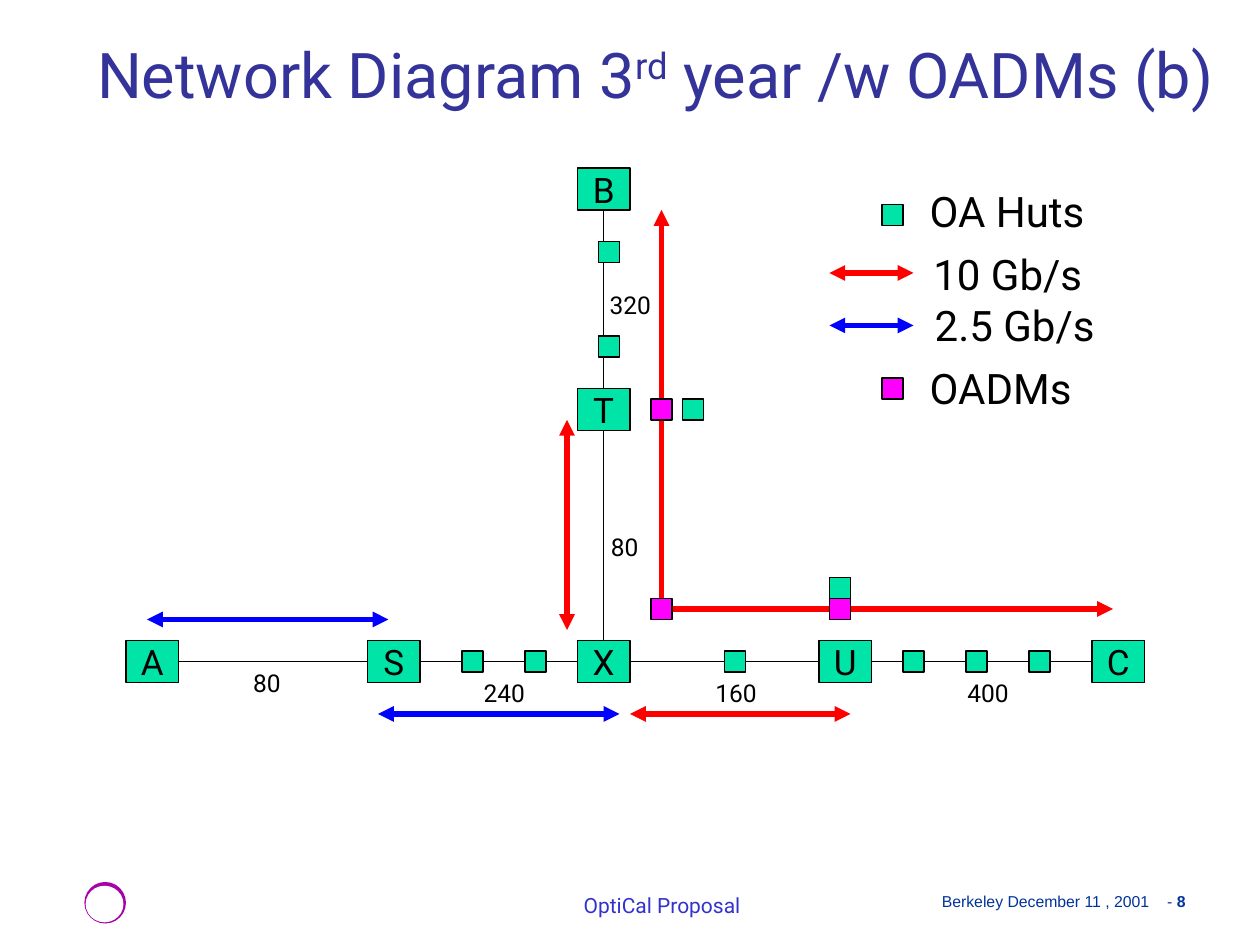
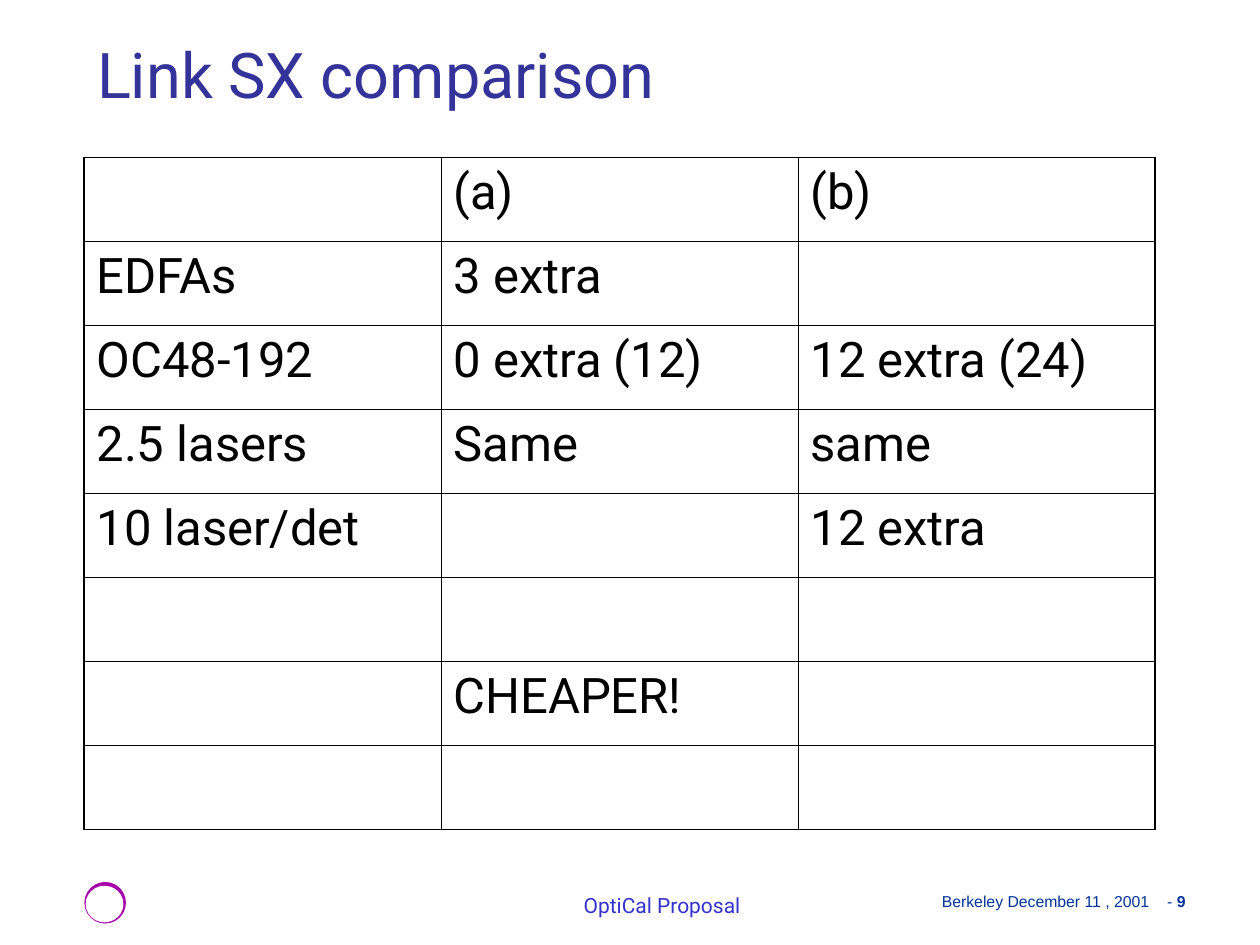
from dataclasses import dataclass
from typing import NamedTuple

from lxml.etree import SubElement
from pptx import Presentation
from pptx.dml.color import RGBColor
from pptx.enum.shapes import MSO_CONNECTOR, MSO_SHAPE
from pptx.enum.text import MSO_ANCHOR, MSO_AUTO_SIZE, PP_ALIGN
from pptx.oxml.ns import qn
from pptx.util import Inches, Pt


@dataclass(frozen=True)
class Theme:
    font: str = "Roboto"
    date_font: str = "Arial"
    title: str = "333399"
    footer: str = "3333CC"
    date: str = "003399"
    ring: str = "A603AB"
    black: str = "000000"
    white: str = "FFFFFF"
    green: str = "00E4A8"
    magenta: str = "FF00FF"
    red: str = "FF0000"
    blue: str = "0000FF"
    title_size: float = 36
    table_size: float = 28
    legend_size: float = 24
    node_size: float = 20
    distance_size: float = 14
    footer_size: float = 12
    date_size: float = 9
    thin: float = 0.75
    thick: float = 3
    table_inner: float = 0.45
    table_outer: float = 1.08


T = Theme()


class Node(NamedTuple):
    """A lettered site; its left and top are in grid units."""
    name: str
    left: int
    top: int


class Arrow(NamedTuple):
    """A capacity arrow; its ends are in grid units."""
    x1: float
    y1: float
    x2: float
    y2: float
    color: str
    head: bool = True
    tail: bool = True


class Label(NamedTuple):
    """A text label; its place is in inches."""
    text: str
    left: float
    top: float
    width: float


NODE_W, NODE_H, MARK = 5, 4, 2
ROW_Y = 61
COLUMN_X = 55
ROW = [Node("A", 12, ROW_Y), Node("S", 35, ROW_Y), Node("X", COLUMN_X, ROW_Y),
       Node("U", 78, ROW_Y), Node("C", 104, ROW_Y)]
COLUMN = [Node("B", COLUMN_X, 16), Node("T", COLUMN_X, 37), ROW[2]]
DISTANCES = [Label("80", 1.91, 5.25, 0.42), Label("240", 3.74, 5.33, 0.53),
             Label("160", 5.58, 5.33, 0.53), Label("400", 7.58, 5.33, 0.53),
             Label("320", 4.74, 2.25, 0.53), Label("80", 4.75, 4.17, 0.42)]
LEGEND = [Label("OA Huts", 7.28, 1.42, 1.49), Label("10 Gb/s", 7.31, 1.92, 1.4),
          Label("2.5 Gb/s", 7.32, 2.33, 1.49), Label("OADMs", 7.28, 2.83, 1.38)]
ARROWS = [Arrow(14, 59, 37, 59, T.blue), Arrow(36, 68, 59, 68, T.blue),
          Arrow(81, 68, 60, 68, T.red), Arrow(54, 60, 54, 40, T.red),
          Arrow(63, 58, 106, 58, T.red, head=False),
          Arrow(63, 20, 63, 58, T.red, tail=False),
          Arrow(79, 26, 87, 26, T.red), Arrow(79, 31, 87, 31, T.blue)]
HUTS = [(x, ROW_Y + 1) for x in (44, 50, 69, 86, 92, 98)]
HUTS += [(57, 32), (57, 23), (65, 38), (79, 55), (84, 19.5)]
OADMS = [(62, 38), (62, 57), (79, 57), (84, 36)]

COMPARISON = [
    ("", "(a)", "(b)"),
    ("EDFAs", "3 extra", ""),
    ("OC48-192", "0 extra (12)", "12 extra (24)"),
    ("2.5 lasers", "Same", "same"),
    ("10 laser/det", "", "12 extra"),
    ("", "", ""),
    ("", "CHEAPER!", ""),
    ("", "", ""),
]


def grid(n: float) -> int:
    """Length of n grid units, twelve to the inch."""
    return Inches(n / 12)


def add_run(p, text: str, size: float, color: str, font: str = T.font):
    r = p.add_run()
    r.text = text
    r.font.size = Pt(size)
    r.font.name = font
    r.font.color.rgb = RGBColor.from_string(color)
    return r


def add_text(s, box: Label, size: float, color: str = T.black,
             height: float = 0.5, align=PP_ALIGN.LEFT, wrap: bool = False):
    sp = s.shapes.add_textbox(Inches(box.left), Inches(box.top),
                              Inches(box.width), Inches(height))
    tf = sp.text_frame
    tf.word_wrap = wrap
    p = tf.paragraphs[0]
    p.alignment = align
    add_run(p, box.text, size, color)
    return tf


def add_solid(s, kind, left: int, top: int, width: int, height: int,
              fill: str, outline: bool = True):
    sp = s.shapes.add_shape(kind, left, top, width, height)
    sp.shadow.inherit = False
    sp.fill.solid()
    sp.fill.fore_color.rgb = RGBColor.from_string(fill)
    if outline:
        sp.line.color.rgb = RGBColor.from_string(T.black)
        sp.line.width = Pt(T.thin)
    else:
        sp.line.fill.background()
    return sp


def add_line(s, line: Arrow, width: float) -> None:
    c = s.shapes.add_connector(MSO_CONNECTOR.STRAIGHT, grid(line.x1),
                               grid(line.y1), grid(line.x2), grid(line.y2))
    c.line.color.rgb = RGBColor.from_string(line.color)
    c.line.width = Pt(width)
    ln = c.line._get_or_add_ln()
    for tag, wanted in (("a:headEnd", line.head), ("a:tailEnd", line.tail)):
        if wanted:
            SubElement(ln, qn(tag), type="triangle")
    SubElement(c._element.spPr, qn("a:effectLst"))


def add_node(s, node: Node) -> None:
    sp = add_solid(s, MSO_SHAPE.RECTANGLE, grid(node.left), grid(node.top),
                   grid(NODE_W), grid(NODE_H), T.green)
    tf = sp.text_frame
    tf.word_wrap = False
    tf.vertical_anchor = MSO_ANCHOR.MIDDLE
    p = tf.paragraphs[0]
    p.alignment = PP_ALIGN.CENTER
    add_run(p, node.name, T.node_size, T.black)


def add_links(s) -> None:
    """Join each pair of neighbouring sites, edge to edge."""
    y = ROW_Y + NODE_H / 2
    x = COLUMN_X + NODE_W / 2
    links = [(a.left + NODE_W, y, b.left, y) for a, b in zip(ROW, ROW[1:])]
    links += [(x, a.top + NODE_H, x, b.top) for a, b in zip(COLUMN, COLUMN[1:])]
    for ends in links:
        add_line(s, Arrow(*ends, T.black, head=False, tail=False), T.thin)


def add_footer(s, number: int) -> None:
    sp = s.shapes.add_textbox(Inches(7), Inches(7.08), Inches(2.5), Inches(0.15))
    tf = sp.text_frame
    tf.word_wrap = True
    tf.margin_left = Inches(0.09)
    tf.margin_right = tf.margin_top = tf.margin_bottom = 0
    p = tf.paragraphs[0]
    tabs = SubElement(p._p.get_or_add_pPr(), qn("a:tabLst"))
    for stop in (2.03, 2.32):
        SubElement(tabs, qn("a:tab"), pos=str(Inches(stop)), algn="r")
    add_run(p, "\tBerkeley December 11 , 2001\t- ", T.date_size, T.date, T.date_font)
    r = add_run(p, str(number), T.date_size, T.date, T.date_font)
    r.font.bold = True

    for box, color in (((0.67, 7, 0.33, 0.33), T.ring),
                       ((0.68, 7.03, 0.3, 0.29), T.white)):
        add_solid(s, MSO_SHAPE.OVAL, *map(Inches, box), color, outline=False)
    tf = add_text(s, Label("OptiCal Proposal", 3.67, 6.83, 3.17), T.footer_size,
                  T.footer, align=PP_ALIGN.CENTER, wrap=True)
    tf.vertical_anchor = MSO_ANCHOR.BOTTOM


def new_slide(prs, number: int, title: list[str], width: float):
    """Add a slide with footer and title; every second title part is raised."""
    s = prs.slides.add_slide(prs.slide_layouts.get_by_name("Title Only"))
    add_footer(s, number)
    sp = s.shapes.title
    sp.left, sp.top = Inches(0.67), Inches(0.17)
    sp.width, sp.height = Inches(width), Inches(0.76)
    tf = sp.text_frame
    tf.auto_size = MSO_AUTO_SIZE.NONE
    tf.word_wrap = True
    tf.vertical_anchor = MSO_ANCHOR.BOTTOM
    p = tf.paragraphs[0]
    p.alignment = PP_ALIGN.LEFT
    for i, text in enumerate(title):
        r = add_run(p, text, T.title_size, T.title)
        if i % 2:
            r.font._element.set("baseline", "30000")
    return s


def set_borders(cell, outer: dict[str, bool]) -> None:
    tcPr = cell._tc.get_or_add_tcPr()
    for tag, is_outer in outer.items():
        width = T.table_outer if is_outer else T.table_inner
        ln = SubElement(tcPr, qn(tag), w=str(Pt(width)))
        SubElement(SubElement(ln, qn("a:solidFill")), qn("a:srgbClr"), val=T.black)


def add_comparison(s) -> None:
    rows, cols = len(COMPARISON), len(COMPARISON[0])
    tbl = s.shapes.add_table(rows, cols, grid(8), grid(15),
                             grid(34 * cols), grid(8 * rows)).table
    tbl.first_row = tbl.horz_banding = False
    for i, texts in enumerate(COMPARISON):
        for j, text in enumerate(texts):
            cell = tbl.cell(i, j)
            set_borders(cell, {"a:lnL": j == 0, "a:lnR": j == cols - 1,
                               "a:lnT": i == 0, "a:lnB": i == rows - 1})
            cell.fill.solid()
            cell.fill.fore_color.rgb = RGBColor.from_string(T.white)
            if text:
                add_run(cell.text_frame.paragraphs[0], text, T.table_size, T.black)


def add_network(s) -> None:
    for node in ROW + COLUMN[:-1]:
        add_node(s, node)
    add_links(s)
    for label in DISTANCES:
        add_text(s, label, T.distance_size, height=0.34)
    for label in LEGEND:
        add_text(s, label, T.legend_size)
    for arrow in ARROWS:
        add_line(s, arrow, T.thick)
    for places, color in ((HUTS, T.green), (OADMS, T.magenta)):
        for x, y in places:
            add_solid(s, MSO_SHAPE.RECTANGLE, grid(x), grid(y),
                      grid(MARK), grid(MARK), color)


def main() -> None:
    prs = Presentation()
    prs.slide_width, prs.slide_height = Inches(10), Inches(7.5)
    add_network(new_slide(
        prs, 8, ["Network Diagram 3", "rd", " year /w OADMs (b)"], 9.33))
    add_comparison(new_slide(prs, 9, ["Link SX comparison"], 8.52))
    prs.save("out.pptx")


if __name__ == "__main__":
    main()
